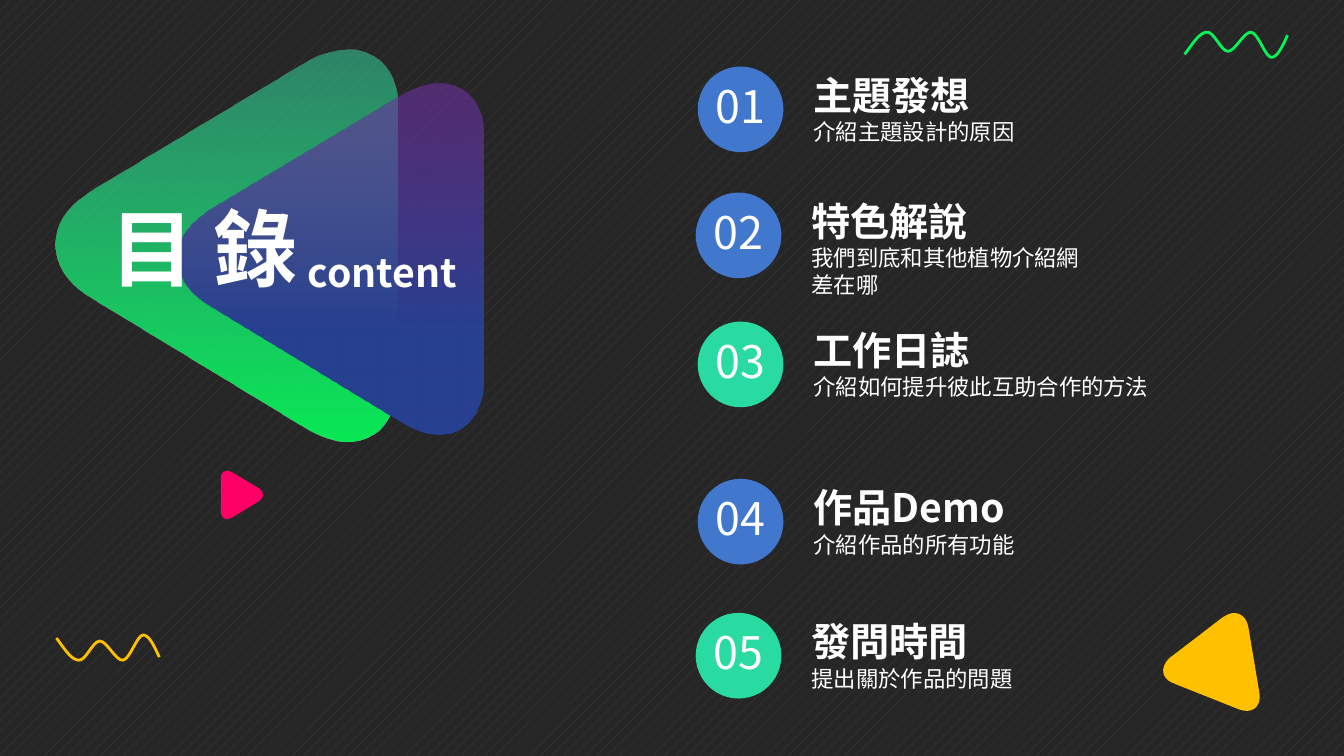
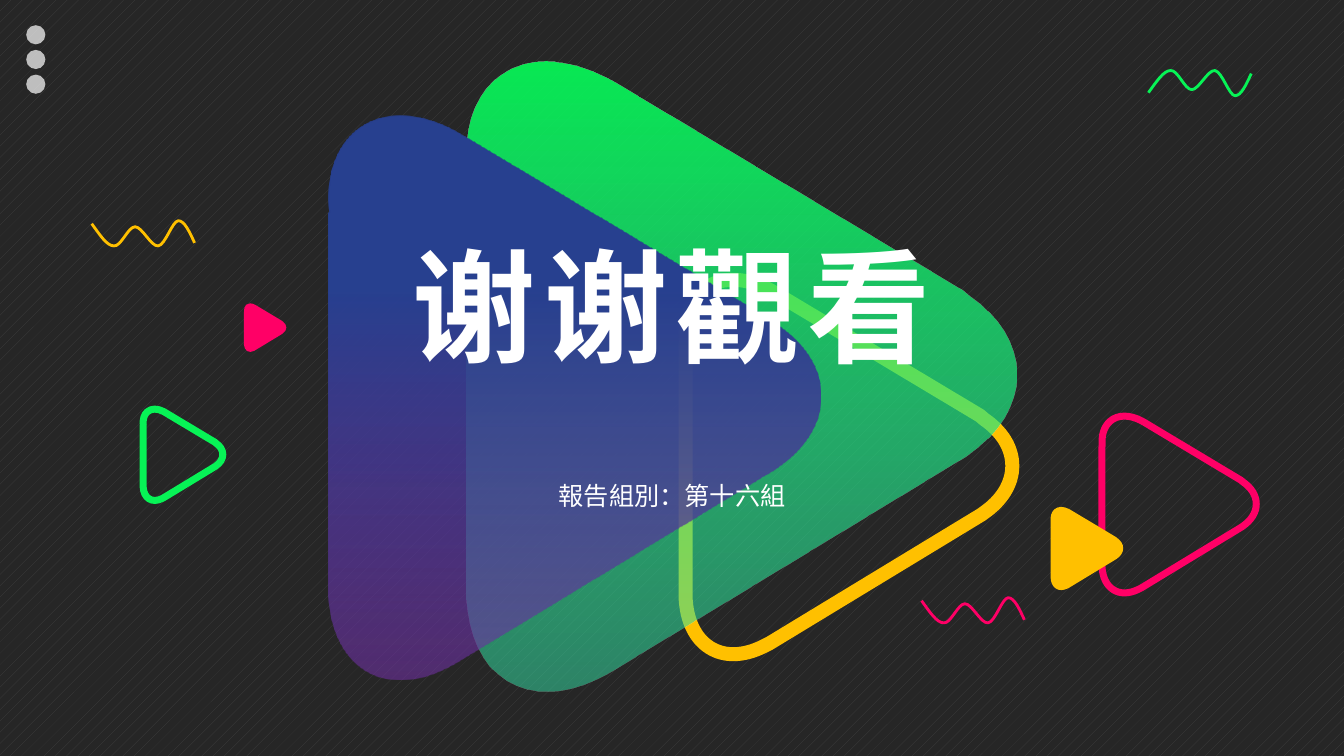
from dataclasses import dataclass

from pptx import Presentation
from pptx.dml.color import RGBColor
from pptx.enum.dml import MSO_PATTERN
from pptx.enum.shapes import MSO_SHAPE
from pptx.enum.text import MSO_ANCHOR, MSO_AUTO_SIZE, PP_ALIGN
from pptx.oxml.ns import qn
from pptx.util import Inches, Pt

DOTS = MSO_PATTERN.PERCENT_10
OVAL = MSO_SHAPE.OVAL
LEFT, CENTER = PP_ALIGN.LEFT, PP_ALIGN.CENTER
TOP, MIDDLE = MSO_ANCHOR.TOP, MSO_ANCHOR.MIDDLE
GROW = MSO_AUTO_SIZE.SHAPE_TO_FIT_TEXT


@dataclass(frozen=True)
class Theme:
    font: str = "Noto Sans CJK SC"
    white: str = "FFFFFF"
    dark: str = "262626"
    grey: str = "404040"
    green: str = "07F356"
    gold: str = "FFC000"
    pink: str = "FF0066"
    blue: str = "4277CE"
    mint: str = "29DBA0"
    # Gradient stops: position, colour, opacity in percent
    lime: tuple = ((0, "07F757", 94), (100, "36DEA6", 51))
    navy: tuple = ((31, "27408F", 100), (100, "7030A0", 58))
    huge: int = 88
    title: int = 60
    number: int = 32
    head: int = 28
    label: int = 18
    note: int = 16


T = Theme()

# Outlines: a start point, then segments of one point (line) or three (curve)
TRI_W = 5.45
TRI = [
    (5.45, 3.1),
    [(5.45, 3.4), (5.27, 3.68), (4.98, 3.88)],
    [(4.94, 3.91)],
    [(1.4, 6.06)],
    [(1.28, 6.12)],
    [(0.97, 6.27), (0.65, 6.29), (0.4, 6.13)],
    [(0.15, 5.97), (0.02, 5.67), (0, 5.31)],
    [(0, 1.07)],
    [(0.01, 1.06)],
    [(-0.03, 0.7), (0.06, 0.38), (0.28, 0.18)],
    [(0.56, -0.07), (0.98, -0.06), (1.4, 0.16)],
    [(1.52, 0.23)],
    [(4.91, 2.26)],
    [(4.98, 2.32)],
    [(5.27, 2.52), (5.45, 2.79), (5.45, 3.1)],
]
WAVE_H = 0.25
WAVE = [
    (0, 0.22),
    [(0.08, 0.11), (0.15, 0), (0.22, 0)],
    [(0.29, -0.01), (0.36, 0.19), (0.43, 0.19)],
    [(0.5, 0.19), (0.59, -0.01), (0.66, 0)],
    [(0.73, 0.01), (0.8, 0.25), (0.86, 0.25)],
    [(0.92, 0.25), (0.97, 0.14), (1.02, 0.03)],
]


def rgb(code):
    return RGBColor.from_string(code)


def fade(shape, *alphas):
    """Set the opacity, in percent, of the shape's colours in order."""
    for node, alpha in zip(list(shape.element.iter(qn("a:srgbClr"))), alphas):
        tag = node.makeelement(qn("a:alpha"), {"val": str(alpha * 1000)})
        node.append(tag)


class Deck:
    def __init__(self):
        self.prs = Presentation()
        self.prs.slide_width = Inches(13.33)
        self.prs.slide_height = Inches(7.5)
        fill = self.prs.slide_master.background.fill
        fill.patterned()
        fill.pattern = DOTS
        fill.fore_color.rgb = rgb(T.grey)
        fill.back_color.rgb = rgb(T.dark)

    def page(self):
        self.shapes = self.prs.slides.add_slide(self.prs.slide_layouts[6]).shapes

    def paint(self, shape, fill=None, line=None, width=0):
        shape.shadow.inherit = False
        if fill:
            shape.fill.solid()
            shape.fill.fore_color.rgb = rgb(fill)
        else:
            shape.fill.background()
        if line:
            shape.line.color.rgb = rgb(line)
            shape.line.width = Pt(width)
        else:
            shape.line.fill.background()

    def trace(self, outline, place, close):
        """Draw an outline whose points are mapped to inches by place."""
        def spot(point):
            return tuple(Inches(v) for v in place(*point))

        start, *segs = outline
        pen = self.shapes.build_freeform(*spot(start))
        pen.add_line_segments([spot(p) for seg in segs for p in seg], close=close)
        shape = pen.convert_to_shape()
        nodes = iter(list(shape.element.iter(qn("a:lnTo"))))
        for seg in segs:
            group = [next(nodes) for _ in seg]
            if len(group) == 3:
                curve = group[0].makeelement(qn("a:cubicBezTo"), {})
                group[0].addprevious(curve)
                for node in group:
                    curve.append(node[0])
                    node.getparent().remove(node)
        return shape

    def tri(self, x, y, w, fill=None, line=None, width=5, flip=False, turn=0):
        """Draw a rounded triangle pointing right, or left when flipped."""
        k = w / TRI_W
        shape = self.trace(
            TRI, lambda a, b: (x + k * (TRI_W - a if flip else a), y + k * b), True)
        self.paint(shape, fill, line, width)
        shape.rotation = turn
        return shape

    def glow(self, x, y, w, stops, flip=False):
        """Draw a triangle with a gradient running down, or up when flipped."""
        shape = self.tri(x, y, w, flip=flip)
        shape.fill.gradient()
        shape.fill.gradient_angle = 90 if flip else 270
        for stop, (pos, color, _) in zip(shape.fill.gradient_stops, stops):
            stop.position = pos / 100
            stop.color.rgb = rgb(color)
        fade(shape, *(alpha for _, _, alpha in stops))

    def wave(self, x, y, color, flip=False):
        shape = self.trace(
            WAVE, lambda a, b: (x + a, y + (WAVE_H - b if flip else b)), False)
        self.paint(shape, line=color, width=2)

    def disc(self, x, y, size, color):
        shape = self.shapes.add_shape(OVAL, *map(Inches, (x, y, size, size)))
        self.paint(shape, color)
        return shape

    def text(self, x, y, w, h, *rows, align=CENTER, anchor=TOP, wrap=True, gap=0):
        """Add a text box; each row is its text, size and boldness."""
        frame = self.shapes.add_textbox(*map(Inches, (x, y, w, h))).text_frame
        frame.word_wrap = wrap
        frame.auto_size = GROW
        frame.vertical_anchor = anchor
        for i, (words, size, bold) in enumerate(rows):
            para = frame.add_paragraph() if i else frame.paragraphs[0]
            para.text = words
            para.alignment = align
            font = para.font
            font.name, font.size, font.bold = T.font, Pt(size), bold
            font.color.rgb = rgb(T.white)
            props = para._p.pPr.find(qn("a:defRPr"))
            props.append(props.makeelement(qn("a:ea"), {"typeface": T.font}))
            if gap:
                props.set("spc", str(gap * 100))

    def entry(self, number, x, y, w, color, head, note):
        self.text(x + 1.05, y, w, 0.84, (head, T.head, True),
                  (note, T.note, False), align=LEFT)
        self.disc(x, y, 0.85, color)
        self.text(x - 0.03, y + 0.07, 0.91, 0.64,
                  (f"{number:02}", T.number, False))


ENTRIES = [
    (6.92, 0.66, 2.94, T.blue, "主題發想", "介紹主題設計的原因"),
    (6.9, 1.91, 2.94, T.blue, "特色解說", "我們到底和其他植物介紹網差在哪"),
    (6.92, 3.19, 3.61, T.mint, "工作日誌", "介紹如何提升彼此互助合作的方法"),
    (6.92, 4.75, 2.94, T.blue, "作品Demo", "介紹作品的所有功能"),
    (6.9, 6.08, 2.94, T.mint, "發問時間", "提出關於作品的問題"),
]


def contents(deck):
    deck.page()
    deck.tri(11.69, 6, 0.88, T.gold, turn=-68.3)
    deck.tri(2.19, 4.67, 0.42, T.pink)
    deck.wave(11.75, 0.32, T.green)
    deck.wave(0.56, 6.3, T.gold, flip=True)
    deck.glow(0.55, 0.5, 3.39, T.lime, flip=True)
    deck.glow(1.76, 0.83, 3.04, T.navy, flip=True)
    deck.text(0.95, 1.9, 2.14, 1.11, ("目 錄", T.title, True), wrap=False)
    deck.text(2.93, 2.41, 1.72, 0.57, ("content", T.head, True), wrap=False)
    for number, entry in enumerate(ENTRIES, 1):
        deck.entry(number, *entry)


def thanks(deck):
    deck.page()
    deck.tri(10.93, 4.13, 1.53, line=T.pink)
    deck.tri(10.42, 5.03, 0.72, T.gold)
    deck.tri(1.42, 4.06, 0.79, line=T.green)
    deck.tri(2.42, 3.01, 0.42, T.pink)
    deck.tri(6.8, 2.78, 3.24, line=T.gold, width=10)
    deck.glow(4.63, 0.62, 5.45, T.lime)
    deck.glow(3.26, 1.15, 4.88, T.navy)
    deck.wave(11.39, 0.7, T.green)
    deck.wave(0.91, 2.19, T.gold, flip=True)
    deck.wave(9.14, 5.93, T.pink, flip=True)
    for i in range(3):
        fade(deck.disc(0.26, 0.25 + i * 0.245, 0.19, T.white), 70)
    deck.text(3.15, 2.24, 7.03, 1.58, ("谢谢觀看", T.huge, True), gap=6)
    deck.text(5.32, 4.68, 2.69, 0.47, ("報告組別：第十六組", T.label, False),
              anchor=MIDDLE)


def main():
    deck = Deck()
    contents(deck)
    thanks(deck)
    deck.prs.save("out.pptx")


if __name__ == "__main__":
    main()
